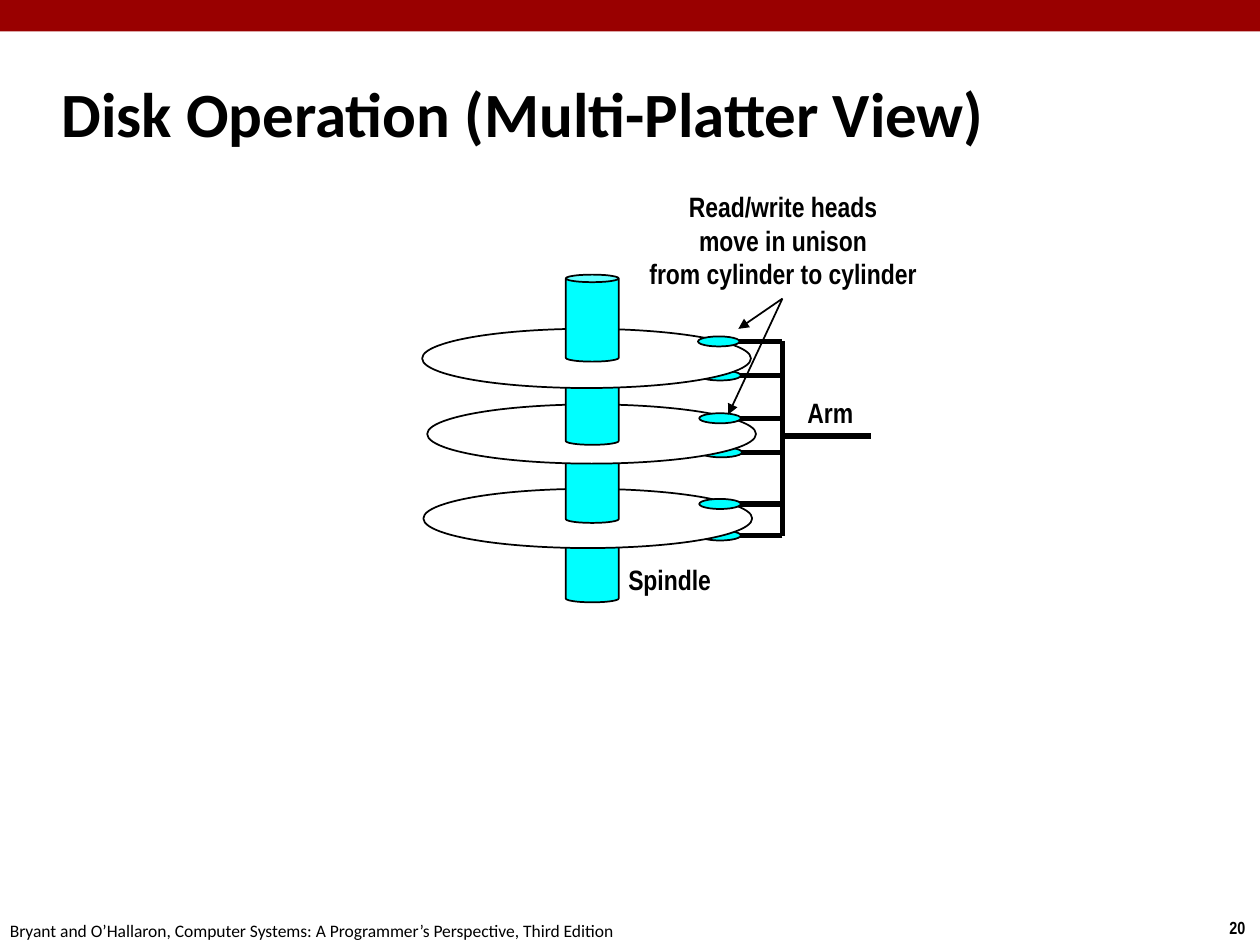
from lxml import etree
from pptx import Presentation
from pptx.dml.color import RGBColor
from pptx.enum.shapes import MSO_CONNECTOR, MSO_SHAPE
from pptx.enum.text import MSO_ANCHOR, MSO_AUTO_SIZE, PP_ALIGN
from pptx.oxml.ns import qn
from pptx.util import Inches, Pt

BLACK = RGBColor(0x00, 0x00, 0x00)
WHITE = RGBColor(0xFF, 0xFF, 0xFF)
CYAN = RGBColor(0x00, 0xFF, 0xFF)
RED = RGBColor(0x99, 0x00, 0x00)

HEADING_FONT = "Calibri"
LABEL_FONT = "Arial Narrow"

ARM_X = 6.21
HEAD_TIP_X = 5.71
SPINDLE_X = 4.49


class DiskSlide:
    """Holds the slide and draws each kind of element in one style."""

    def __init__(self, prs):
        self.slide = prs.slides.add_slide(prs.slide_layouts[5])
        self.shapes = self.slide.shapes

    def add_run(self, p, text, size, font, bold):
        r = p.add_run()
        r.text = text
        r.font.size = Pt(size)
        r.font.name = font
        r.font.bold = bold
        r.font.color.rgb = BLACK

    def title(self, text, x, y, w, h):
        sp = self.shapes.title
        sp.left, sp.top, sp.width, sp.height = map(Inches, (x, y, w, h))
        tf = sp.text_frame
        tf.vertical_anchor = MSO_ANCHOR.MIDDLE
        tf.auto_size = MSO_AUTO_SIZE.NONE
        p = tf.paragraphs[0]
        p.alignment = PP_ALIGN.LEFT
        pPr = p._p.get_or_add_pPr()
        pPr.set("marL", str(Inches(0.13)))
        pPr.set("indent", str(-Inches(0.13)))
        self.add_run(p, text, 36, HEADING_FONT, True)

    def text(self, lines, x, y, w, h, size=16, font=LABEL_FONT, bold=True,
             align=PP_ALIGN.LEFT, anchor=MSO_ANCHOR.MIDDLE, wrap=False):
        box = self.shapes.add_textbox(*map(Inches, (x, y, w, h)))
        tf = box.text_frame
        tf.word_wrap = wrap
        tf.auto_size = MSO_AUTO_SIZE.SHAPE_TO_FIT_TEXT
        tf.vertical_anchor = anchor
        for i, line in enumerate(lines):
            p = tf.add_paragraph() if i else tf.paragraphs[0]
            p.alignment = align
            self.add_run(p, line, size, font, bold)

    def shape(self, kind, x, y, w, h, fill, outlined=True):
        sp = self.shapes.add_shape(kind, *map(Inches, (x, y, w, h)))
        sp.shadow.inherit = False
        sp.fill.solid()
        sp.fill.fore_color.rgb = fill
        if outlined:
            sp.line.color.rgb = BLACK
            sp.line.width = Pt(1)
        else:
            sp.line.fill.background()
        return sp

    def line(self, x1, y1, x2, y2, width=3, arrow=False):
        cn = self.shapes.add_connector(
            MSO_CONNECTOR.STRAIGHT, *map(Inches, (x1, y1, x2, y2)))
        cn.line.color.rgb = BLACK
        cn.line.width = Pt(width)
        if arrow:
            etree.SubElement(cn.line._get_or_add_ln(), qn("a:tailEnd"),
                             type="triangle")
        etree.SubElement(cn._element.spPr, qn("a:effectLst"))

    def head(self, x, y):
        """Read/write head with the rod that joins it to the arm at height y."""
        self.line(ARM_X, y, HEAD_TIP_X, y)
        self.shape(MSO_SHAPE.OVAL, x, y - 0.04, 0.33, 0.08, CYAN)

    def platter(self, x, y):
        self.shape(MSO_SHAPE.OVAL, x, y, 2.61, 0.47, WHITE)

    def spindle(self, y):
        can = self.shape(MSO_SHAPE.CAN, SPINDLE_X, y, 0.42, 0.69, CYAN)
        can.adjustments[0] = 0.142


def main():
    prs = Presentation()
    prs.slide_width, prs.slide_height = Inches(10), Inches(7.5)
    s = DiskSlide(prs)

    s.shape(MSO_SHAPE.RECTANGLE, 0, 0, 10, 0.25, RED, outlined=False)
    s.text(["20"], 9.66, 7.23, 0.34, 0.27, size=10, anchor=MSO_ANCHOR.TOP)
    s.text(["Bryant and O’Hallaron, Computer Systems: "
            "A Programmer’s Perspective, Third Edition"],
           -0.02, 7.25, 5.08, 0.27, size=10, font=HEADING_FONT, bold=False,
           anchor=MSO_ANCHOR.TOP)
    s.title("Disk Operation (Multi-Platter View)", 0.39, 0.48, 8.3, 0.83)

    # Heads under the platters come first, so the platters cover them
    for x, y in [(5.55, 2.98), (5.56, 3.59), (5.55, 4.25)]:
        s.head(x, y)

    # Stack from the bottom up: each platter hides the top of the spindle below
    for spindle_y, platter_x, platter_y in [
            (4.09, 3.36, 3.88), (3.46, 3.39, 3.21), (2.84, 3.35, 2.61)]:
        s.spindle(spindle_y)
        s.platter(platter_x, platter_y)
    s.spindle(2.18)

    s.line(ARM_X, 2.71, ARM_X, 4.25)
    s.line(ARM_X, 3.46, 6.91, 3.46)
    for x, y in [(5.54, 2.71), (5.55, 3.32), (5.55, 4.0)]:
        s.head(x, y)

    s.text(["Arm"], 6.31, 3.09, 0.57, 0.37)
    s.text(["Spindle"], 4.88, 4.41, 0.87, 0.37, align=PP_ALIGN.CENTER)
    s.text(["Read/write heads", "move in unison", "from cylinder to cylinder"],
           5.01, 1.45, 2.41, 0.91, align=PP_ALIGN.CENTER, wrap=True)
    for x, y in [(5.86, 2.61), (5.78, 3.29)]:
        s.line(ARM_X, 2.37, x, y, width=1, arrow=True)

    prs.save("out.pptx")


if __name__ == "__main__":
    main()
